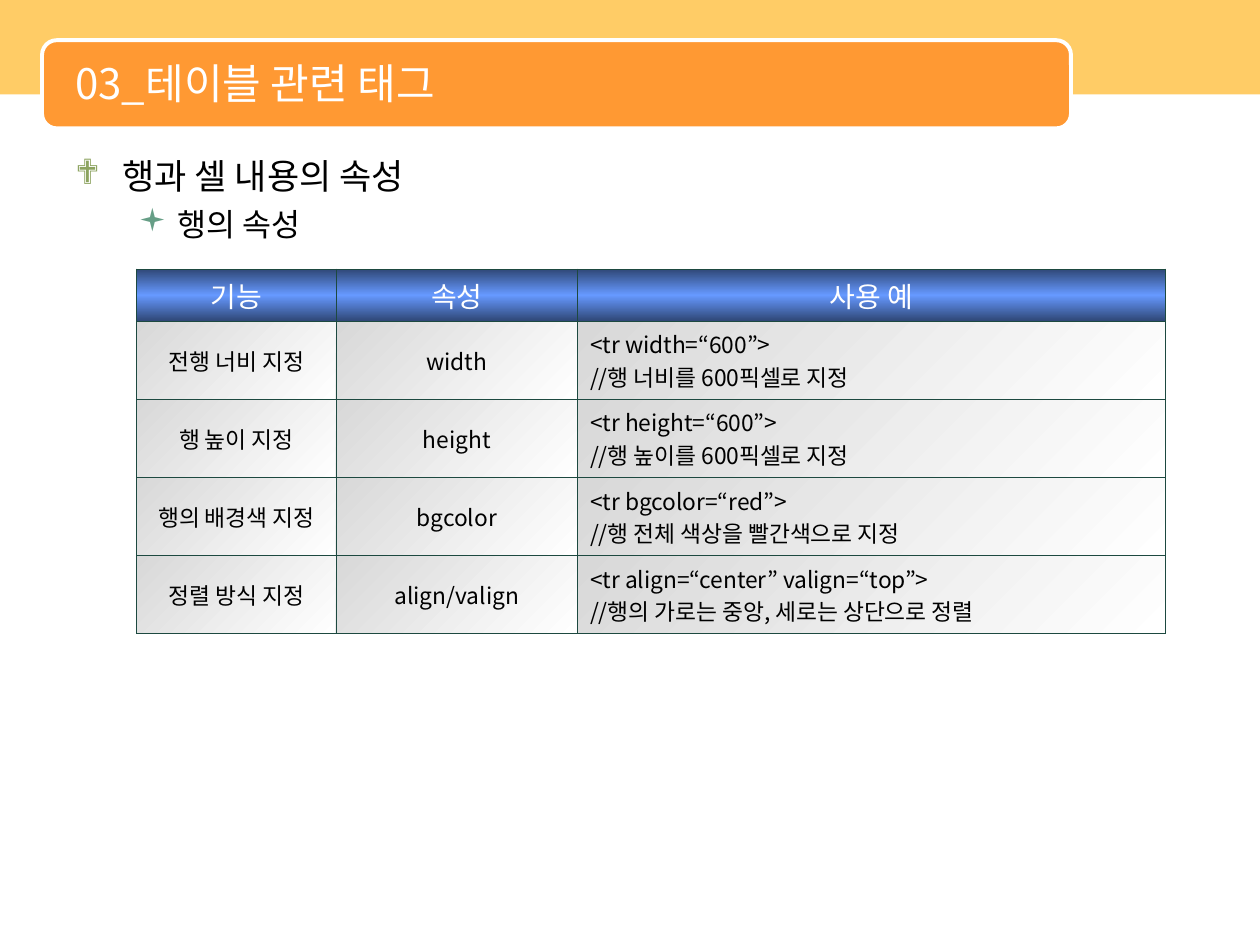
import pptx
import pptx.dml.color
import pptx.enum.shapes
import pptx.enum.text
import pptx.oxml.ns
import pptx.util
from lxml import etree

Pt = pptx.util.Pt
RGB = pptx.dml.color.RGBColor
SHAPES = pptx.enum.shapes.MSO_SHAPE
ALIGN = pptx.enum.text.PP_ALIGN
MIDDLE = pptx.enum.text.MSO_ANCHOR.MIDDLE
qn = pptx.oxml.ns.qn

FONT = "Noto Sans CJK KR"
BULLET_FONT = "Wingdings"
WHITE = RGB(0xFF, 0xFF, 0xFF)
BLACK = RGB(0, 0, 0)
YELLOW = RGB(0xFF, 0xCC, 0x66)
ORANGE = RGB(0xFF, 0x99, 0x33)
OLIVE = RGB(0x8C, 0xA3, 0x5F)
TEAL = RGB(0x66, 0x9E, 0x86)
GRID = RGB(0x1D, 0x49, 0x40)
NAVY = RGB(0x2F, 0x47, 0x76)
BLUE = RGB(0x66, 0x99, 0xFF)
GRAY = RGB(0xD8, 0xD8, 0xD8)

TITLE = "03_테이블 관련 태그"
# text, size, left margin, hanging indent, space before, bullet, bullet colour
OUTLINE = [
    ("행과 셀 내용의 속성", 20, 27, 27, 0, "❖", OLIVE),
    ("행의 속성", 18, 58.5, 22.5, 4.5, "▪", TEAL),
]
HEADER = ("기능", "속성", "사용 예")
ATTRIBUTES = [
    ("전행 너비 지정", "width", "<tr width=“600”>\v//행 너비를 600픽셀로 지정"),
    ("행 높이 지정", "height", "<tr height=“600”>\v//행 높이를 600픽셀로 지정"),
    ("행의 배경색 지정", "bgcolor", "<tr bgcolor=“red”>\v//행 전체 색상을 빨간색으로 지정"),
    ("정렬 방식 지정", "align/valign",
     "<tr align=“center” valign=“top”>\v//행의 가로는 중앙, 세로는 상단으로 정렬"),
]
COLUMN_WIDTHS = (114, 138, 336)
HEADER_HEIGHT, ROW_HEIGHT = 29.8, 44.7
HEADER_STOPS = [(0, NAVY), (50, BLUE), (100, NAVY)]
BODY_STOPS = [(0, GRAY), (100, WHITE)]


def add(parent, tag, **attributes):
    return etree.SubElement(parent, qn(tag), attributes)


def style(paragraph, size, color):
    font = paragraph.font
    font.size = Pt(size)
    font.name = FONT
    font.color.rgb = color
    font._element.set("kern", "0")
    add(font._element, "a:ea", typeface=FONT)


def add_panel(slide, kind, left, top, width, height, fill):
    panel = slide.shapes.add_shape(kind, Pt(left), Pt(top), Pt(width), Pt(height))
    panel.shadow.inherit = False
    panel.fill.solid()
    panel.fill.fore_color.rgb = fill
    panel.line.fill.background()
    return panel


def add_text_frame(slide, left, top, width, height):
    frame = slide.shapes.add_textbox(Pt(left), Pt(top), Pt(width), Pt(height)).text_frame
    frame.word_wrap = True
    return frame


def set_bullet(paragraph, left, hanging, mark, color):
    props = paragraph._p.get_or_add_pPr()
    props.set("marL", str(Pt(left)))
    props.set("indent", str(-Pt(hanging)))
    add(add(props, "a:buClr"), "a:srgbClr", val=str(color))
    add(props, "a:buFont", typeface=BULLET_FONT, charset="2")
    add(props, "a:buChar", char=mark)


def paint_cell(cell, stops, angle):
    """Give the cell thin borders and a linear gradient."""
    props = cell._tc.get_or_add_tcPr()
    for side in ("a:lnL", "a:lnR", "a:lnT", "a:lnB"):
        border = add(props, side, w=str(Pt(0.45)))
        add(add(border, "a:solidFill"), "a:srgbClr", val=str(GRID))
    gradient = add(props, "a:gradFill", rotWithShape="1")
    stop_list = add(gradient, "a:gsLst")
    for position, color in stops:
        stop = add(stop_list, "a:gs", pos=str(position * 1000))
        add(stop, "a:srgbClr", val=str(color))
    add(gradient, "a:lin", ang=str(angle * 60000), scaled="0")


def add_attribute_table(slide):
    rows = [HEADER] + ATTRIBUTES
    heights = [HEADER_HEIGHT] + [ROW_HEIGHT] * len(ATTRIBUTES)
    table = slide.shapes.add_table(
        len(rows), len(HEADER), Pt(78), Pt(153.7),
        Pt(sum(COLUMN_WIDTHS)), Pt(sum(heights))).table
    table.first_row = table.horz_banding = False
    for column, width in zip(table.columns, COLUMN_WIDTHS):
        column.width = Pt(width)
    for r, (texts, height) in enumerate(zip(rows, heights)):
        table.rows[r].height = Pt(height)
        is_header = r == 0
        for c, text in enumerate(texts):
            cell = table.cell(r, c)
            cell.vertical_anchor = MIDDLE
            paragraph = cell.text_frame.paragraphs[0]
            paragraph.text = text
            is_example = c == 2 and not is_header
            paragraph.alignment = ALIGN.LEFT if is_example else ALIGN.CENTER
            if is_header:
                style(paragraph, 16, WHITE)
                paint_cell(cell, HEADER_STOPS, 90)
            else:
                style(paragraph, 13, BLACK)
                paint_cell(cell, BODY_STOPS, 45)


def main():
    deck = pptx.Presentation()
    deck.slide_width, deck.slide_height = Pt(720), Pt(540)
    slide = deck.slides.add_slide(deck.slide_layouts[6])

    add_panel(slide, SHAPES.RECTANGLE, 0, 0, 720, 54, YELLOW)
    banner = add_panel(slide, SHAPES.ROUNDED_RECTANGLE, 24, 23, 588, 50.4, ORANGE)
    banner.line.color.rgb = WHITE
    banner.line.width = Pt(2.25)

    title_frame = add_text_frame(slide, 36, 25.2, 570, 44.6)
    title_frame.vertical_anchor = MIDDLE
    title_frame.text = TITLE
    style(title_frame.paragraphs[0], 24, WHITE)

    outline_frame = add_text_frame(slide, 36, 85, 648, 419)
    for i, (text, size, left, hanging, before, mark, color) in enumerate(OUTLINE):
        paragraph = outline_frame.add_paragraph() if i else outline_frame.paragraphs[0]
        paragraph.text = text
        paragraph.level = i
        if before:
            paragraph.space_before = Pt(before)
        set_bullet(paragraph, left, hanging, mark, color)
        style(paragraph, size, BLACK)

    add_attribute_table(slide)
    deck.save("out.pptx")


if __name__ == "__main__":
    main()
